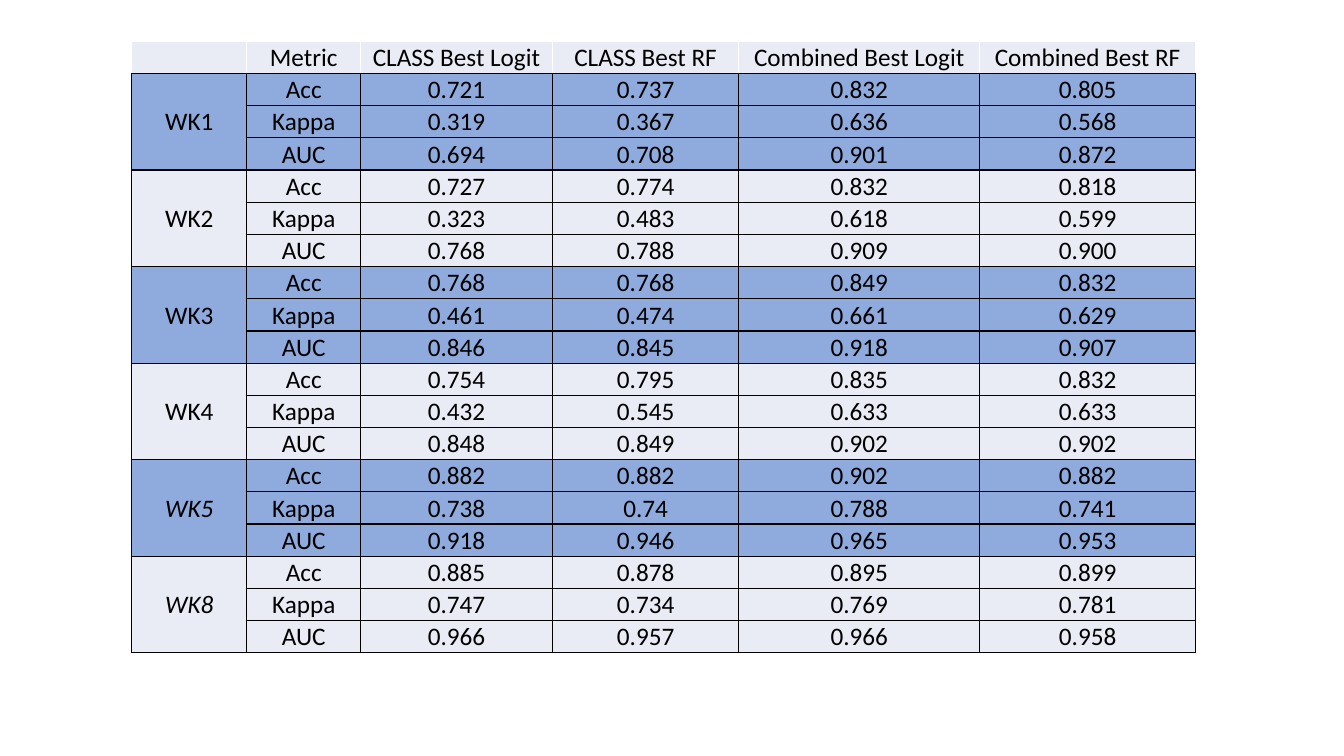
from dataclasses import dataclass

from lxml.etree import SubElement
from pptx import Presentation
from pptx.dml.color import RGBColor
from pptx.enum.text import MSO_ANCHOR as Anchor, PP_ALIGN as Align
from pptx.oxml.ns import qn
from pptx.table import Table, _Cell as Cell
from pptx.util import Cm, Pt

BLACK = RGBColor(0x00, 0x00, 0x00)
WHITE = RGBColor(0xFF, 0xFF, 0xFF)
BLUE = RGBColor(0x8F, 0xAA, 0xDC)
PALE = RGBColor(0xE9, 0xEB, 0xF5)

HEADERS = ("", "Metric", "CLASS Best Logit", "CLASS Best RF",
           "Combined Best Logit", "Combined Best RF")
COLUMN_WIDTHS = (2.9, 2.87, 4.83, 4.7, 6.07, 5.44)
METRICS = ("Acc", "Kappa", "AUC")
INSET = Cm(0.03)


@dataclass(frozen=True)
class Week:
    """Scores of one week: a row per metric, a column per model."""
    name: str
    scores: tuple[str, str, str]
    italic: bool = False


WEEKS = (
    Week("WK1", ("0.721 0.737 0.832 0.805",
                 "0.319 0.367 0.636 0.568",
                 "0.694 0.708 0.901 0.872")),
    Week("WK2", ("0.727 0.774 0.832 0.818",
                 "0.323 0.483 0.618 0.599",
                 "0.768 0.788 0.909 0.900")),
    Week("WK3", ("0.768 0.768 0.849 0.832",
                 "0.461 0.474 0.661 0.629",
                 "0.846 0.845 0.918 0.907")),
    Week("WK4", ("0.754 0.795 0.835 0.832",
                 "0.432 0.545 0.633 0.633",
                 "0.848 0.849 0.902 0.902")),
    Week("WK5", ("0.882 0.882 0.902 0.882",
                 "0.738 0.74 0.788 0.741",
                 "0.918 0.946 0.965 0.953"), italic=True),
    Week("WK8", ("0.885 0.878 0.895 0.899",
                 "0.747 0.734 0.769 0.781",
                 "0.966 0.957 0.966 0.958"), italic=True),
)


def set_borders(cell: Cell, color: RGBColor, bottom: RGBColor) -> None:
    """Draw one-point lines on all four sides of a cell."""
    properties = cell._tc.get_or_add_tcPr()
    sides = {"L": color, "R": color, "T": color, "B": bottom}
    for side, side_color in sides.items():
        line = SubElement(properties, qn(f"a:ln{side}"), w=str(Pt(1)))
        fill = SubElement(line, qn("a:solidFill"))
        SubElement(fill, qn("a:srgbClr"), val=str(side_color))


def write_text(cell: Cell, text: str, *, italic: bool = False, size: float = 18,
               font: str = "Calibri", color: RGBColor = BLACK) -> None:
    """Write centred text into a cell."""
    cell.vertical_anchor = Anchor.MIDDLE
    cell.margin_left = cell.margin_right = cell.margin_top = INSET
    cell.margin_bottom = 0
    paragraph = cell.text_frame.paragraphs[0]
    paragraph.alignment = Align.CENTER
    if text:
        run = paragraph.add_run()
        run.text = text
        run.font.name = font
        run.font.size = Pt(size)
        run.font.italic = italic
        run.font.color.rgb = color


def fill_row(table: Table, row: int, texts: tuple[str, ...], *, fill: RGBColor,
             border: RGBColor = BLACK, italic_first: bool = False) -> None:
    """Format one table row and write its texts."""
    for column, text in enumerate(texts):
        cell = table.cell(row, column)
        set_borders(cell, border, BLACK)
        cell.fill.solid()
        cell.fill.fore_color.rgb = fill
        write_text(cell, text, italic=italic_first and column == 0)


def add_week(table: Table, index: int, week: Week) -> None:
    """Add the rows of one week under a merged name cell."""
    top = 1 + index * len(METRICS)
    for offset, (metric, scores) in enumerate(zip(METRICS, week.scores)):
        name = "" if offset else week.name
        fill_row(table, top + offset, (name, metric, *scores.split()),
                 fill=PALE if index % 2 else BLUE, italic_first=week.italic)
    table.cell(top, 0).merge(table.cell(top + len(METRICS) - 1, 0))


def main() -> None:
    """Build and save the slide with the results table."""
    presentation = Presentation()
    presentation.slide_width = Cm(33.87)
    presentation.slide_height = Cm(19.05)
    slide = presentation.slides.add_slide(presentation.slide_layouts[6])

    row_count = 1 + len(WEEKS) * len(METRICS)
    table = slide.shapes.add_table(row_count, len(HEADERS), Cm(3.32), Cm(1.04),
                                   Cm(sum(COLUMN_WIDTHS)), Cm(15.42)).table
    table.first_row = table.horz_banding = False
    for column, width in zip(table.columns, COLUMN_WIDTHS):
        column.width = Cm(width)

    fill_row(table, 0, HEADERS, fill=PALE, border=WHITE)
    for index, week in enumerate(WEEKS):
        add_week(table, index, week)
    presentation.save("out.pptx")


main()
